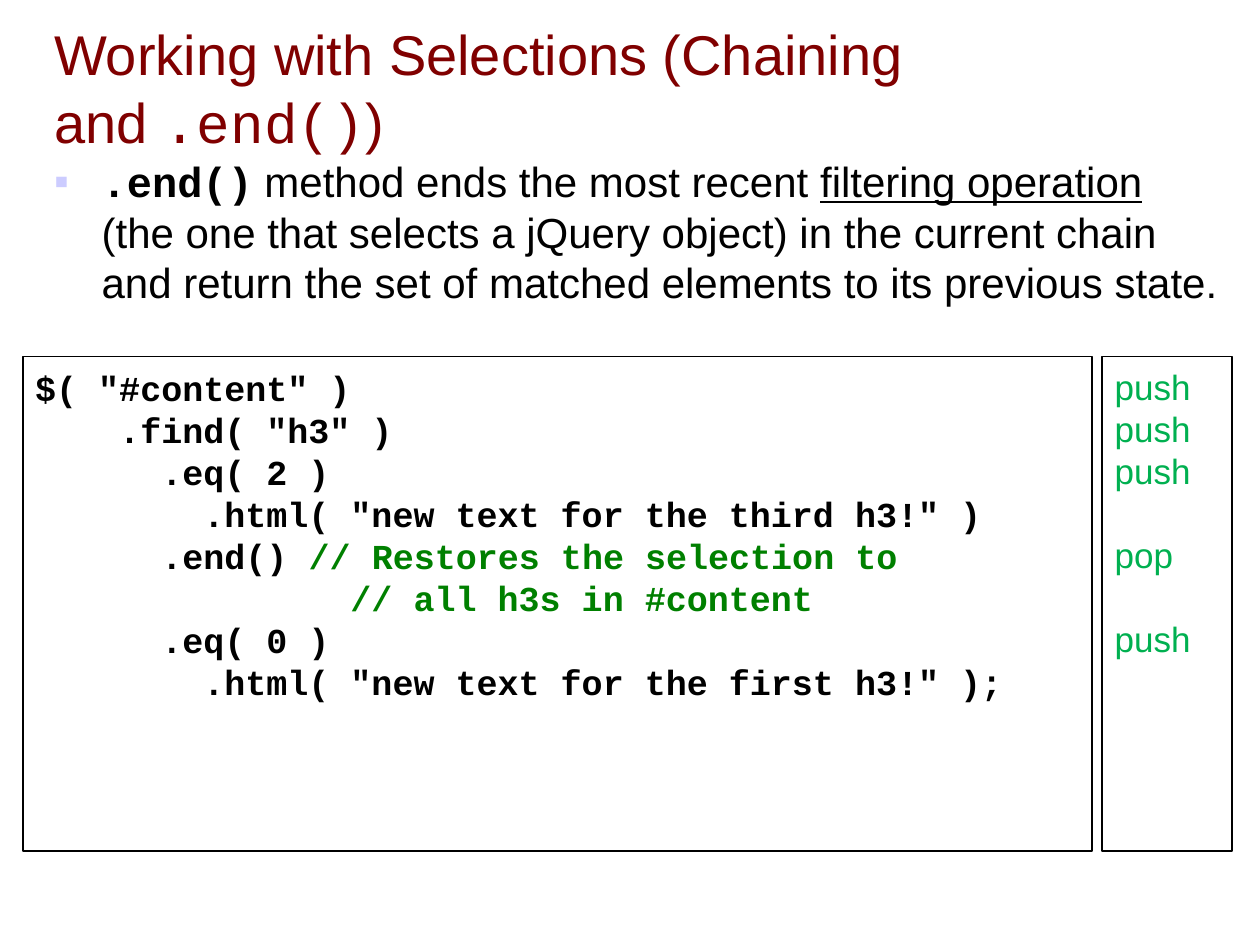
from lxml.etree import SubElement
from pptx import Presentation
from pptx.dml.color import RGBColor as Rgb
from pptx.enum.shapes import MSO_SHAPE as Shape
from pptx.enum.text import MSO_ANCHOR as Anchor, MSO_AUTO_SIZE as Fit, PP_ALIGN as Align
from pptx.oxml.ns import qn
from pptx.util import Cm, Pt

BLACK = Rgb(0, 0, 0)
MAROON = Rgb(0x80, 0, 0)
GREEN = Rgb(0, 0x80, 0)
LIME = Rgb(0, 0xB0, 0x50)
LILAC = "CCCCFF"
SANS, MONO = "Arial", "Courier New"
INDENT = Cm(0.96)

PLAIN = {"name": SANS, "color": BLACK, "bold": False}
CODE = {"name": MONO, "color": BLACK, "bold": True}
NOTE = {**CODE, "color": GREEN}
STEP = {**PLAIN, "color": LIME}
HEAD = {**PLAIN, "color": MAROON}

LINES = [
    [('$( "#content" )', CODE)],
    [('    .find( "h3" )', CODE)],
    [('      .eq( 2 )', CODE)],
    [('        .html( "new text for the third h3!" )', CODE)],
    [('      .end()', CODE), (' // Restores the selection to', NOTE)],
    [('               // all h3s in #content', NOTE)],
    [('      .eq( 0 )', CODE)],
    [('        .html( "new text for the first h3!" );', CODE)],
]
# Code row that each stack step stands beside
STEPS = [(0, "push"), (1, "push"), (2, "push"), (4, "pop"), (6, "push")]


def set_all(item, values):
    for key, value in values.items():
        setattr(item, key, value)


def set_frame(frame, top, right=0.25, anchor=Anchor.TOP):
    set_all(frame, {
        "word_wrap": True, "auto_size": Fit.NONE, "vertical_anchor": anchor,
        "margin_left": Cm(0.25), "margin_right": Cm(right),
        "margin_top": Cm(top), "margin_bottom": Cm(0.13),
    })


def add_runs(para, runs, size):
    set_all(para, {"alignment": Align.LEFT, "line_spacing": Pt(size * 1.2),
                   "space_before": Pt(0)})
    for text, style in runs:
        run = para.add_run()
        run.text = text
        run.font.size = Pt(size)
        for key, value in style.items():
            if key == "color":
                run.font.color.rgb = value
            else:
                setattr(run.font, key, value)


def next_para(frame, index):
    return frame.add_paragraph() if index else frame.paragraphs[0]


def add_bullet(para):
    props = para._p.get_or_add_pPr()
    props.set("marL", str(INDENT))
    props.set("indent", str(-INDENT))
    color = SubElement(props, qn("a:buClr"))
    SubElement(color, qn("a:srgbClr"), val=LILAC)
    SubElement(props, qn("a:buFont"), typeface=SANS)
    SubElement(props, qn("a:buChar"), char="▪")


def put_title(slide, left, top, width, height):
    title = slide.shapes.title
    set_all(title, {"left": left, "top": top, "width": width, "height": height})
    frame = title.text_frame
    set_frame(frame, 0.13, right=5.5, anchor=Anchor.MIDDLE)
    add_runs(frame.paragraphs[0], [
        ("Working with Selections (Chaining and ", HEAD),
        (".end()", {**HEAD, "name": MONO}),
        (")", HEAD),
    ], 32)


def put_body(slide, *box):
    frame = slide.shapes.add_textbox(*box).text_frame
    set_frame(frame, 0.17, right=0.2)
    para = frame.paragraphs[0]
    add_bullet(para)
    add_runs(para, [
        (".end()", CODE),
        (" method ends the most recent ", PLAIN),
        ("filtering operation", {**PLAIN, "underline": True}),
        (" (the one that selects a jQuery object) in the current chain and "
         "return the set of matched elements to its previous state.", PLAIN),
    ], 24)


def add_panel(slide, box, top):
    panel = slide.shapes.add_shape(Shape.RECTANGLE, *box)
    panel.shadow.inherit = False
    panel.fill.background()
    panel.line.color.rgb = BLACK
    panel.line.width = Pt(1)
    set_frame(panel.text_frame, top)
    return panel.text_frame


def put_code(slide, *box):
    frame = add_panel(slide, box, 0.2)
    for i, runs in enumerate(LINES):
        add_runs(next_para(frame, i), runs, 20)


def put_steps(slide, *box):
    frame = add_panel(slide, box, 0.18)
    last = -1
    for i, (row, text) in enumerate(STEPS):
        para = next_para(frame, i)
        add_runs(para, [(text, STEP)], 20)
        para.space_before = Pt(24 * (row - last - 1))
        last = row


def main():
    deck = Presentation()
    set_all(deck, {"slide_width": Cm(25.4), "slide_height": Cm(19.05)})
    slide = deck.slides.add_slide(deck.slide_layouts[5])
    put_title(slide, Cm(0.84), Cm(0.5), Cm(23.93), Cm(2.51))
    put_body(slide, Cm(0.84), Cm(2.97), Cm(23.95), Cm(4.24))
    top, height = Cm(7.19), Cm(9.96)
    put_code(slide, Cm(0.46), top, Cm(21.56), height)
    put_steps(slide, Cm(22.22), top, Cm(2.62), height)
    deck.save("out.pptx")


if __name__ == "__main__":
    main()
